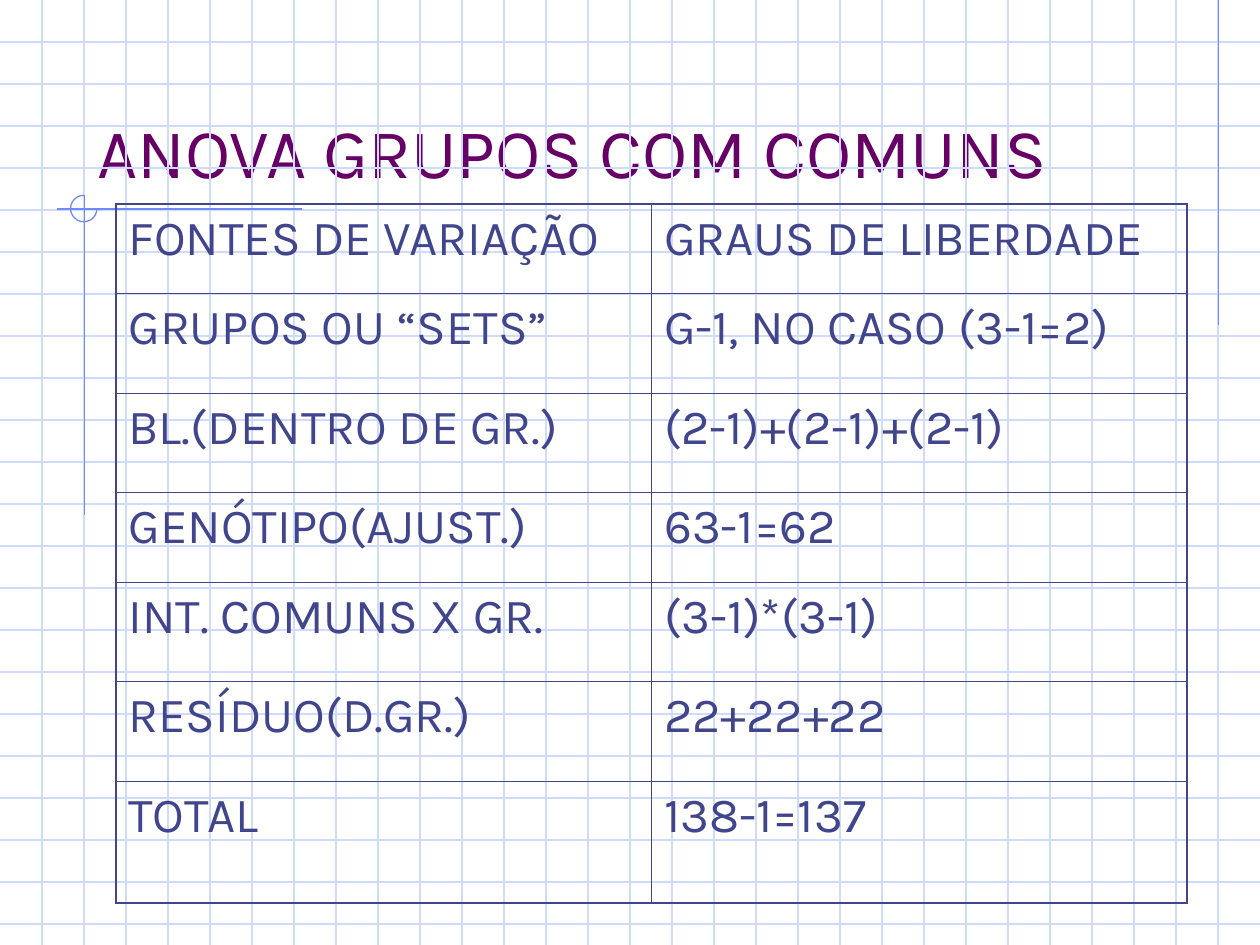
from lxml import etree
from pptx import Presentation
from pptx.dml.color import RGBColor
from pptx.enum.shapes import MSO_CONNECTOR, MSO_SHAPE
from pptx.enum.text import MSO_ANCHOR, MSO_AUTO_SIZE, PP_ALIGN
from pptx.oxml.ns import qn
from pptx.util import Inches, Pt

STRAIGHT = MSO_CONNECTOR.STRAIGHT
ARC = MSO_SHAPE.ARC
BOTTOM = MSO_ANCHOR.BOTTOM
LEFT = PP_ALIGN.LEFT
NO_FIT = MSO_AUTO_SIZE.NONE

PALE = RGBColor(0xCF, 0xDB, 0xFD)
BLUE = RGBColor(0x6F, 0x89, 0xF7)
PLUM = RGBColor(0x66, 0x00, 0x66)
NAVY = RGBColor(0x40, 0x45, 0x8C)
FONT = "Karla"
WIDE, HIGH = 10, 7.5
THIN, THICK = 0.45, 1.08

ROWS = [
    ("FONTES DE VARIAÇÃO", "GRAUS DE LIBERDADE"),
    ("GRUPOS OU “SETS”", "G-1, NO CASO (3-1=2)"),
    ("BL.(DENTRO DE GR.)", "(2-1)+(2-1)+(2-1)"),
    ("GENÓTIPO(AJUST.)", "63-1=62"),
    ("INT. COMUNS X GR.", "(3-1)*(3-1)"),
    ("RESÍDUO(D.GR.)", "22+22+22"),
    ("TOTAL", "138-1=137"),
]
HEIGHTS = [0.71, 0.79, 0.79, 0.71, 0.79, 0.79, 0.97]


class Page:
    def __init__(self, slide):
        self.slide = slide
        self.shapes = slide.shapes

    def style(self, para, size, color):
        para.alignment = LEFT
        para.font.name = FONT
        para.font.size = Pt(size)
        para.font.color.rgb = color

    def line(self, x1, y1, x2, y2, color):
        line = self.shapes.add_connector(
            STRAIGHT, Inches(x1), Inches(y1), Inches(x2), Inches(y2))
        line.line.color.rgb = color
        line.line.width = Pt(0.75)
        etree.SubElement(line._element.spPr, qn("a:effectLst"))

    def grid(self, count, step):
        """Draw count rules a step apart in each direction, within the slide."""
        for i in range(1, count + 1):
            pos = i * step
            if pos < HIGH:
                self.line(0, pos, WIDE, pos, PALE)
            self.line(pos, 0, pos, HIGH, PALE)

    def arc(self, x, y, size, color):
        """Draw three quarters of a circle, open at the top right."""
        arc = self.shapes.add_shape(
            ARC, Inches(x), Inches(y), Inches(size), Inches(size))
        arc.adjustments[0] = 0
        arc.adjustments[1] = 162  # 270 degrees
        arc.shadow.inherit = False
        arc.fill.background()
        arc.line.color.rgb = color
        arc.line.width = Pt(0.75)

    def title(self, text, x, y, w, h):
        title = self.shapes.title
        title.left, title.top = Inches(x), Inches(y)
        title.width, title.height = Inches(w), Inches(h)
        frame = title.text_frame
        frame.text = text
        frame.auto_size = NO_FIT
        frame.vertical_anchor = BOTTOM
        self.style(frame.paragraphs[0], 40, PLUM)

    def border(self, cell, side, width):
        props = cell._tc.get_or_add_tcPr()
        edge = etree.SubElement(props, qn("a:ln" + side), w=str(Pt(width)))
        fill = etree.SubElement(edge, qn("a:solidFill"))
        etree.SubElement(fill, qn("a:srgbClr"), val=str(NAVY))

    def table(self, rows, heights, x, y, w):
        last, end = len(rows) - 1, len(rows[0]) - 1
        frame = self.shapes.add_table(
            last + 1, end + 1, Inches(x), Inches(y), Inches(w),
            Inches(sum(heights)))
        table = frame.table
        table.first_row = table.horz_banding = False
        for r, row in enumerate(rows):
            table.rows[r].height = Inches(heights[r])
            for c, text in enumerate(row):
                cell = table.cell(r, c)
                cell.text = text
                self.style(cell.text_frame.paragraphs[0], 28, NAVY)
                outer = {"L": c == 0, "R": c == end,
                         "T": r == 0, "B": r == last}
                for side, edge in outer.items():
                    self.border(cell, side, THICK if edge else THIN)
                cell.fill.background()


def main():
    deck = Presentation()
    deck.slide_width, deck.slide_height = Inches(WIDE), Inches(HIGH)
    page = Page(deck.slides.add_slide(deck.slide_layouts[5]))
    page.grid(29, 1 / 3)
    page.line(9.67, 0, 9.67, 2.58, BLUE)
    page.line(2.4, 1.66, 0.45, 1.66, BLUE)
    page.line(0.67, 1.55, 0.67, 4.09, BLUE)
    page.arc(0.56, 1.55, 0.21, BLUE)
    page.title("ANOVA GRUPOS COM COMUNS", 0.67, 0.33, 8.5, 1.25)
    page.table(ROWS, HEIGHTS, 0.92, 1.62, 8.5)
    deck.save("out.pptx")


if __name__ == "__main__":
    main()
